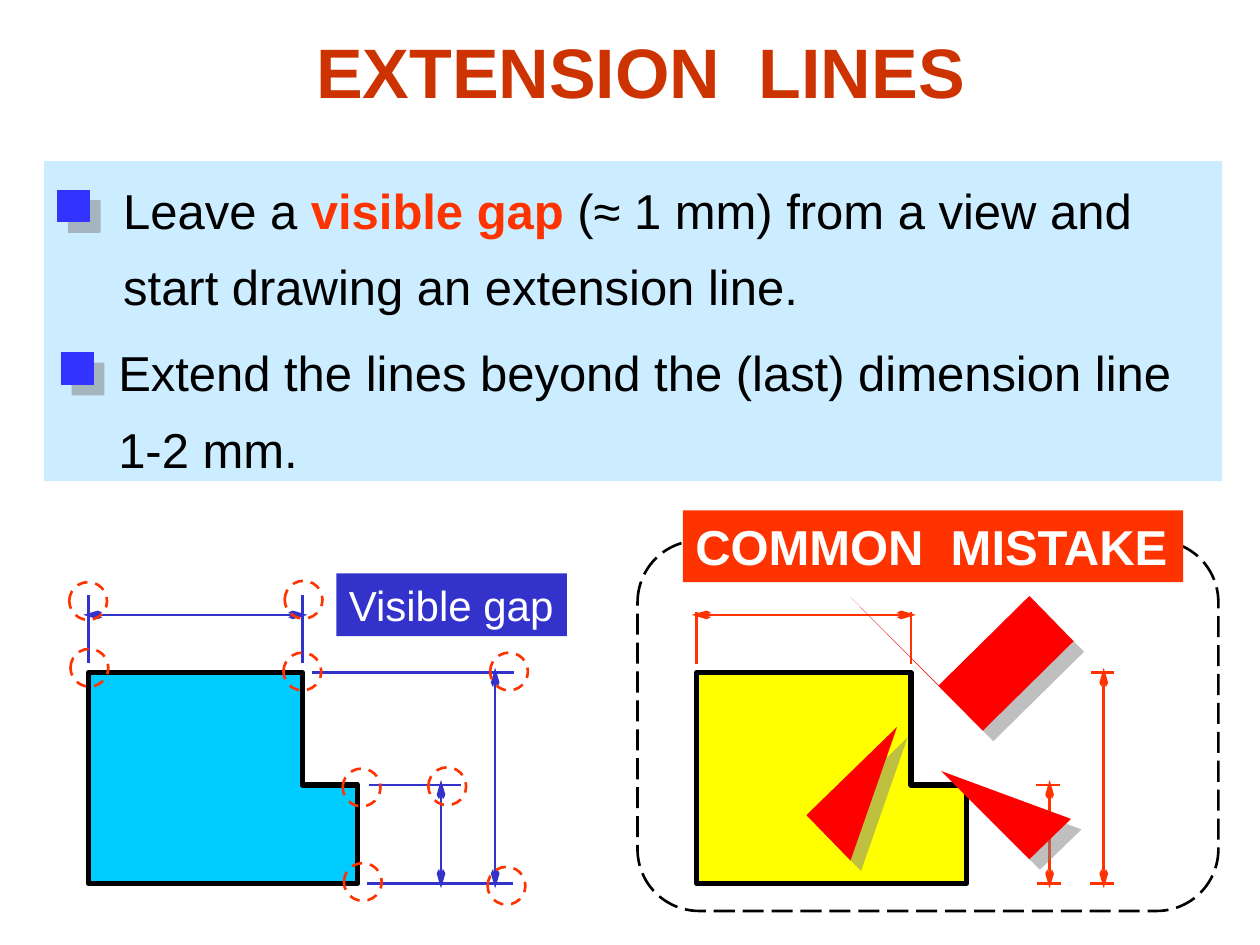
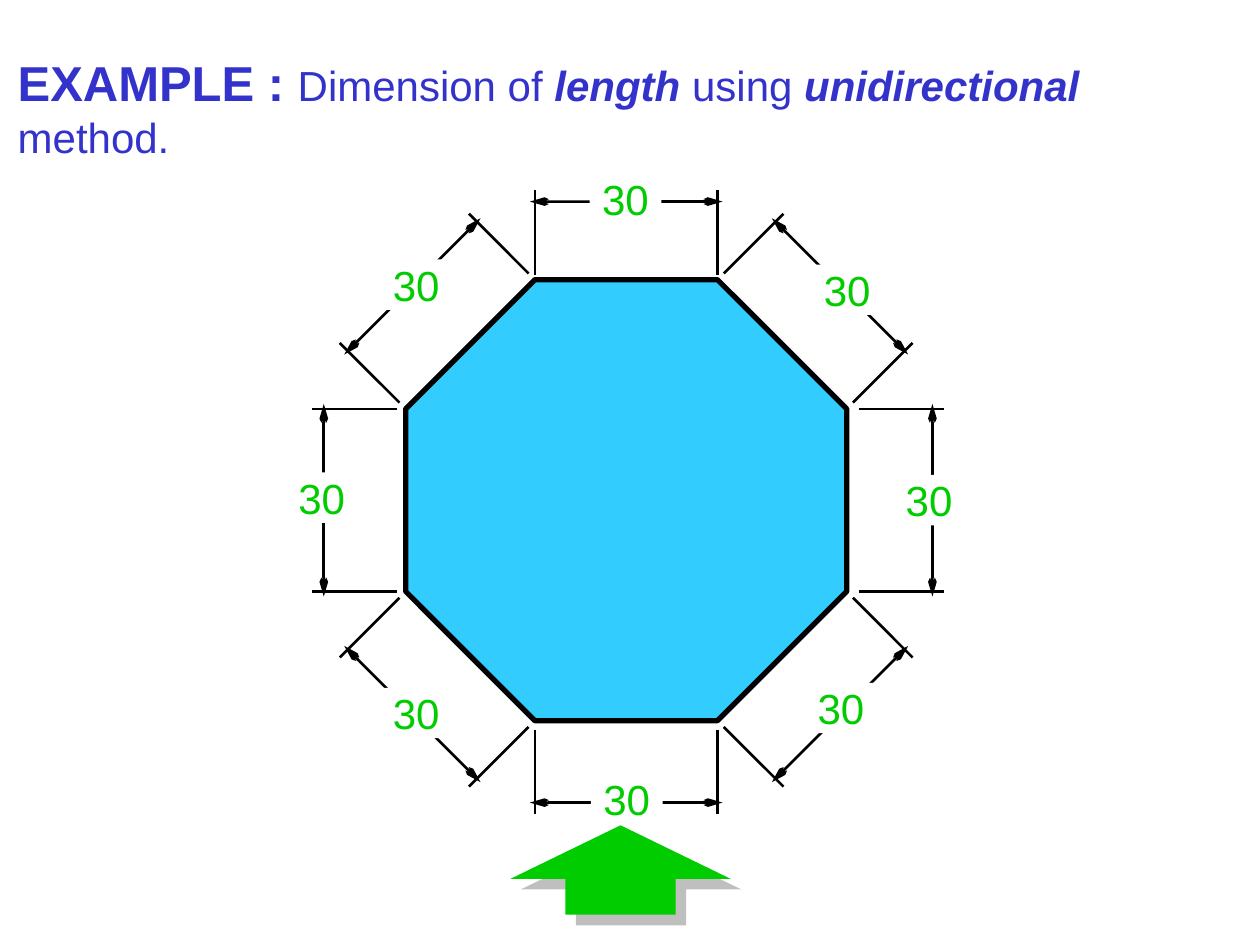
from dataclasses import dataclass
from math import cos, radians, sin, tan

from lxml.etree import SubElement
from pptx import Presentation
from pptx.dml.color import RGBColor
from pptx.enum.dml import MSO_LINE
from pptx.enum.shapes import MSO_CONNECTOR, MSO_SHAPE
from pptx.enum.text import MSO_ANCHOR, MSO_AUTO_SIZE, PP_ALIGN
from pptx.oxml.ns import qn
from pptx.util import Inches, Pt


@dataclass(frozen=True)
class Theme:
    font: str = "Arial"
    black: str = "000000"
    white: str = "FFFFFF"
    title: str = "CC3300"
    panel: str = "CCECFF"
    bullet: str = "3333FF"
    blue: str = "3333CC"
    alert: str = "FF3300"
    pointer: str = "FF0000"
    good_part: str = "00CCFF"
    bad_part: str = "FFFF00"
    octagon: str = "33CCFF"
    green: str = "00CC00"
    shadow: str = "808080"
    title_size: int = 40
    body_size: int = 28
    label_size: int = 24
    thin: float = 1.5
    thick: float = 3


THEME = Theme()

PART_OUTLINE = [(0, 1.67), (2.14, 1.67), (2.14, 0.89), (1.7, 0.89), (1.7, 0), (0, 0)]
PART_DIMENSIONS = [
    (-0.04, -0.46, 1.74, -0.46),
    (2.8, 0.85, 2.8, 1.71),
    (3.23, -0.04, 3.23, 1.71),
]
GAPPED_EXTENSIONS = [
    (0, -0.08, 0, -0.62),
    (1.7, -0.08, 1.7, -0.62),
    (2.23, 0.89, 2.96, 0.89),
    (2.21, 1.67, 3.37, 1.67),
    (1.78, 0, 3.38, 0),
]
SHORT_EXTENSIONS = [
    (0, -0.07, 0, -0.48),
    (1.7, -0.07, 1.7, -0.48),
    (2.69, 0.89, 2.88, 0.89),
    (2.7, 1.67, 2.89, 1.67),
    (3.13, 0, 3.31, 0),
    (3.12, 1.67, 3.31, 1.67),
]
GAP_MARKS = [
    (0, -0.57), (1.71, -0.58), (0.01, -0.04), (1.7, -0.01), (3.34, -0.01),
    (2.17, 0.91), (2.85, 0.9), (2.18, 1.66), (3.32, 1.69),
]
MISTAKE_POINTERS = [
    [(1.59, 0.43), (0.87, 1.13), (1.22, 1.49)],
    [(1.94, 0.78), (2.64, 1.48), (2.97, 1.16)],
    [(2.27, 0.46), (2.99, -0.25), (2.64, -0.61), (1.92, 0.1), (1.22, -0.6)],
]
SIDE_GAPS_AND_LABELS = [
    (0.1, 2.41, 0), (0.07, 1.71, 1.65), (0.07, 0.01, 2.37), (0.07, -1.66, 1.69),
    (0.07, -2.41, -0.02), (0.07, -1.66, -1.71), (0.04, 0, -2.39), (0.07, 1.76, -1.67),
]


def color(value):
    return RGBColor.from_string(value)


def style(shape, fill=None, line=None, width=THEME.thin, dash=None, shadow=False):
    shape.shadow.inherit = False
    if fill:
        shape.fill.solid()
        shape.fill.fore_color.rgb = color(fill)
    else:
        shape.fill.background()
    if line:
        shape.line.color.rgb = color(line)
        shape.line.width = Pt(width)
        if dash:
            shape.line.dash_style = dash
    else:
        shape.line.fill.background()
    if shadow:
        effects = shape._element.spPr.find(qn("a:effectLst"))
        outer = SubElement(effects, qn("a:outerShdw"), dist=str(Pt(8.5)),
                           dir="2700000", algn="ctr", rotWithShape="0")
        tint = SubElement(outer, qn("a:srgbClr"), val=THEME.shadow)
        SubElement(tint, qn("a:alpha"), val="50000")
    return shape


def add_preset(page, kind, box, **look):
    return style(page.shapes.add_shape(kind, *map(Inches, box)), **look)


def add_polygons(page, origin, outlines, **look):
    left, top = origin
    placed = [[(Inches(left + x), Inches(top + y)) for x, y in outline] for outline in outlines]
    builder = page.shapes.build_freeform(*placed[0][0])
    for index, points in enumerate(placed):
        if index:
            builder.move_to(*points[0])
        builder.add_line_segments(points[1:], close=True)
    return style(builder.convert_to_shape(), **look)


def add_line(page, start, end, line_color, arrows=False):
    line = page.shapes.add_connector(MSO_CONNECTOR.STRAIGHT, *map(Inches, (*start, *end)))
    line.line.color.rgb = color(line_color)
    line.line.width = Pt(THEME.thin)
    if arrows:
        for tag in ("a:headEnd", "a:tailEnd"):
            SubElement(line.line._get_or_add_ln(), qn(tag), type="arrow", w="sm", len="lg")
    SubElement(line._element.spPr, qn("a:effectLst"))


def write(shape, spans, align=PP_ALIGN.LEFT, wrap=True, inset=0.05, spacing=None):
    frame = shape.text_frame
    frame.auto_size = MSO_AUTO_SIZE.NONE
    frame.word_wrap = wrap
    frame.vertical_anchor = MSO_ANCHOR.TOP
    frame.margin_left = frame.margin_right = Inches(0.1)
    frame.margin_top = frame.margin_bottom = Inches(inset)
    para = frame.paragraphs[0]
    para.alignment = align
    if spacing:
        para.line_spacing = spacing
    for text, size, text_color, bold, italic in spans:
        span = para.add_run()
        span.text = text
        span.font.name = THEME.font
        span.font.size = Pt(size)
        span.font.color.rgb = color(text_color)
        span.font.bold = bold
        span.font.italic = italic


def add_titled_page(deck, box, spans, **layout):
    page = deck.slides.add_slide(deck.slide_layouts[5])
    title = page.shapes.title
    title.left, title.top, title.width, title.height = map(Inches, box)
    write(title, spans, **layout)
    return page


def add_tag(page, box, fill, text, size, text_color=THEME.white, bold=False, inset=0.05):
    tag = add_preset(page, MSO_SHAPE.RECTANGLE, box, fill=fill)
    write(tag, [(text, size, text_color, bold, False)], wrap=False, inset=inset)


def add_rules_panel(page, box):
    left, top, width, height = box
    add_preset(page, MSO_SHAPE.RECTANGLE, box, fill=THEME.panel)
    size, ink = THEME.body_size, THEME.black
    rules = [
        (0.53, -0.04, 8.9, 0.11, 0.23, [
            ("Leave a ", size, ink, False, False),
            ("visible gap ", size, THEME.alert, True, False),
            ("(≈ 1 mm) from a view and start drawing an extension line.", size, ink, False, False),
        ]),
        (0.49, 1.25, 8.61, 0.14, 1.52, [
            ("Extend the lines beyond the (last) dimension line 1-2 mm.", size, ink, False, False),
        ]),
    ]
    for text_x, text_y, text_width, mark_x, mark_y, spans in rules:
        text_box = page.shapes.add_textbox(
            *map(Inches, (left + text_x, top + text_y, text_width, 1.32)))
        write(text_box, spans, spacing=1.3)
        add_preset(page, MSO_SHAPE.RECTANGLE, (left + mark_x, top + mark_y, 0.25, 0.25),
                   fill=THEME.bullet, line=THEME.bullet, width=0.75, shadow=True)


def add_dimensioned_part(page, origin, fill, line_color, extensions):
    left, top = origin
    add_polygons(page, origin, [PART_OUTLINE], fill=fill, line=THEME.black, width=THEME.thick)
    for lines, arrows in ((extensions, False), (PART_DIMENSIONS, True)):
        for x1, y1, x2, y2 in lines:
            add_line(page, (left + x1, top + y1), (left + x2, top + y2), line_color, arrows)


def add_correct_view(page, origin):
    left, top = origin
    add_dimensioned_part(page, origin, THEME.good_part, THEME.blue, GAPPED_EXTENSIONS)
    for x, y in GAP_MARKS:
        add_preset(page, MSO_SHAPE.OVAL, (left + x - 0.15, top + y - 0.15, 0.3, 0.3),
                   line=THEME.alert, dash=MSO_LINE.DASH)
    add_tag(page, (left + 1.97, top - 0.79, 1.83, 0.5), THEME.blue,
            "Visible gap", THEME.label_size)


def add_mistake_view(page, box):
    left, top = box[:2]
    origin = (left + 0.47, top + 1.05)
    add_preset(page, MSO_SHAPE.ROUNDED_RECTANGLE, box,
               line=THEME.black, dash=MSO_LINE.LONG_DASH)
    add_dimensioned_part(page, origin, THEME.bad_part, THEME.alert, SHORT_EXTENSIONS)
    add_tag(page, (left + 0.36, top - 0.24, 3.97, 0.57), THEME.alert,
            "COMMON  MISTAKE", THEME.body_size, bold=True)
    add_polygons(page, origin, MISTAKE_POINTERS, fill=THEME.pointer, shadow=True)


def add_dimensioned_octagon(page, box):
    left, top, width, height = box
    center_x, center_y = left + width / 2, top + height / 2
    half = width / 2
    half_side = half * tan(radians(22.5))
    octagon = add_preset(page, MSO_SHAPE.OCTAGON, box, fill=THEME.octagon,
                         line=THEME.black, width=THEME.thick)
    octagon.adjustments[0] = 0.293

    for side, (gap, label_x, label_y) in enumerate(SIDE_GAPS_AND_LABELS):
        angle = radians(45 * side)

        def place(outward, along):
            reach = half + outward
            return (center_x + reach * cos(angle) - along * sin(angle),
                    center_y + reach * sin(angle) + along * cos(angle))

        for end in (-half_side, half_side):
            add_line(page, place(gap, end), place(gap + 0.67, end), THEME.black)
        overrun = half_side + 0.04
        add_line(page, place(gap + 0.58, -overrun), place(gap + 0.58, overrun),
                 THEME.black, arrows=True)
        add_tag(page, (center_x + label_x - 0.29, center_y + label_y - 0.2, 0.57, 0.4),
                THEME.white, "30", THEME.label_size, THEME.green, inset=0)


def add_reading_arrow(page, box):
    arrow = add_preset(page, MSO_SHAPE.UP_ARROW, box, fill=THEME.green, shadow=True)
    arrow.adjustments[0] = 0.5
    arrow.adjustments[1] = 0.6


def build_extension_lines(deck):
    page = add_titled_page(
        deck, (0.17, 0.18, 9.83, 0.77),
        [("EXTENSION  LINES", THEME.title_size, THEME.title, True, False)],
        align=PP_ALIGN.CENTER)
    add_rules_panel(page, (0.35, 1.28, 9.35, 2.54))
    add_correct_view(page, (0.7, 5.34))
    add_mistake_view(page, (5.06, 4.29, 4.61, 2.94))


def build_length_example(deck):
    size, ink = THEME.label_size, THEME.blue
    page = add_titled_page(deck, (0.04, 0.37, 9.92, 0.57), [
        ("EXAMPLE : ", THEME.body_size, ink, True, False),
        ("Dimension of ", size, ink, False, False),
        ("length", size, ink, True, True),
        (" using ", size, ink, False, False),
        ("unidirectional", size, ink, True, True),
        (" method.", size, ink, False, False),
    ], wrap=False)
    add_dimensioned_octagon(page, (3.22, 2.22, 3.5, 3.5))
    add_reading_arrow(page, (4.05, 6.55, 1.75, 0.71))


def main():
    deck = Presentation()
    deck.slide_width, deck.slide_height = Inches(10), Inches(7.5)
    build_extension_lines(deck)
    build_length_example(deck)
    deck.save("out.pptx")


if __name__ == "__main__":
    main()
